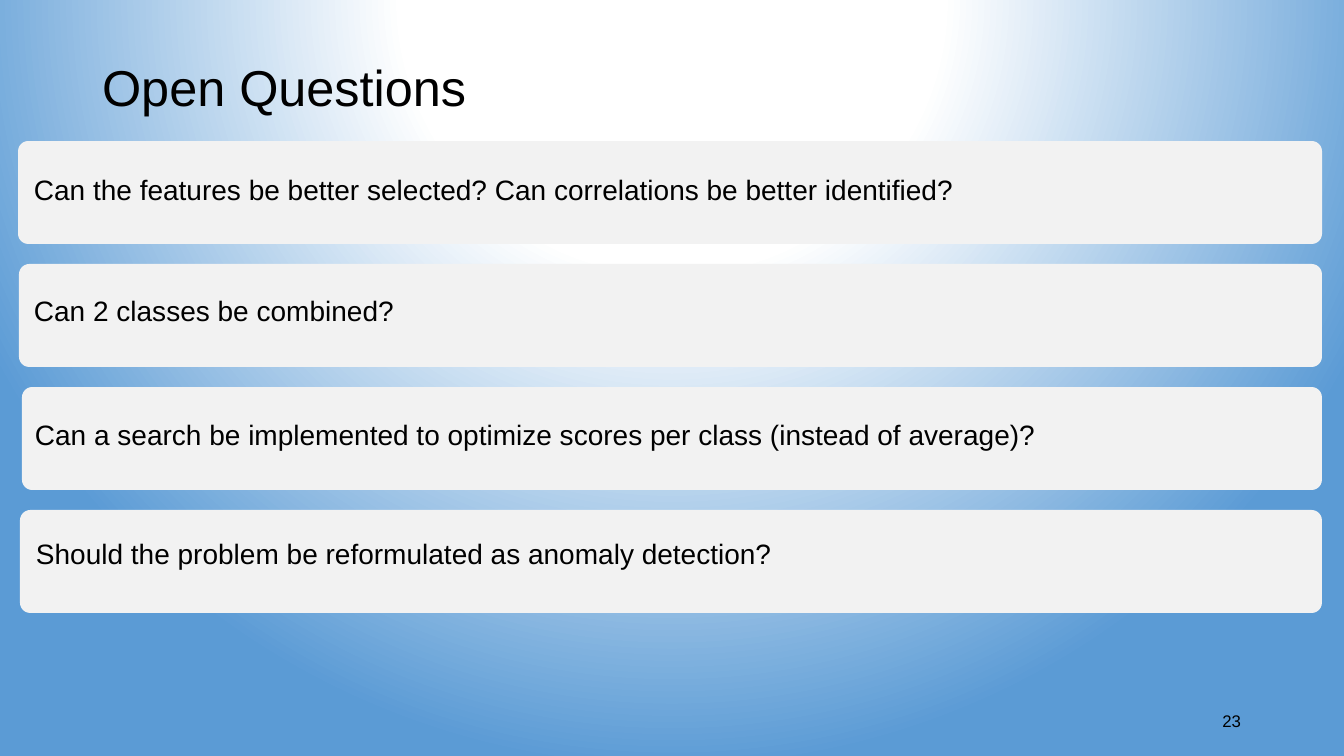
from dataclasses import dataclass

from pptx import Presentation
from pptx.dml.color import RGBColor
from pptx.enum.shapes import MSO_SHAPE
from pptx.enum.text import MSO_ANCHOR, MSO_AUTO_SIZE, PP_ALIGN
from pptx.oxml import parse_xml
from pptx.oxml.ns import nsdecls, qn
from pptx.util import Emu, Pt

SLIDE_WIDTH, SLIDE_HEIGHT = 1344, 756
EMU_PER_PX = 12192000 / SLIDE_WIDTH


@dataclass(frozen=True)
class Theme:
    font: str = "Arial"
    ink: str = "000000"
    card: str = "F2F2F2"
    background_stops: tuple = ((0, "FFFFFF"), (35, "FFFFFF"), (100, "5B9BD5"))
    title_size: int = 36
    question_size: int = 20
    number_size: int = 12


THEME = Theme()

# Stack of cards, all ending at the same right edge
CARD_TOP, CARD_PITCH, CARD_HEIGHT, CARD_RIGHT = 141, 123, 103, 1322
QUESTION_INDENT = 6

# Question, card left, then left, top, width and height of its text
QUESTIONS = [
    ("Can the features be better selected? Can correlations be better identified?",
     18, (18, 168, 1292, 80)),
    ("Can 2 classes be combined?",
     19, (18, 289, 1213, 74)),
    ("Can a search be implemented to optimize scores per class (instead of average)?",
     22, (19, 413, 1296, 74)),
    ("Should the problem be reformulated as anomaly detection?",
     20, (20, 532, 1054, 74)),
]


def px(length):
    return Emu(round(length * EMU_PER_PX))


def box(*lengths):
    return [px(length) for length in lengths]


def write(shape, text, size, alignment, anchor):
    """Put one formatted paragraph in a shape and return it."""
    frame = shape.text_frame
    frame.text = text
    frame.word_wrap = True
    frame.auto_size = MSO_AUTO_SIZE.NONE
    frame.vertical_anchor = anchor
    paragraph = frame.paragraphs[0]
    paragraph.alignment = alignment
    font = paragraph.runs[0].font
    font.name = THEME.font
    font.size = Pt(size)
    font.color.rgb = RGBColor.from_string(THEME.ink)
    return paragraph


def paint_background(slide):
    """Radial gradient centred above the slide."""
    slide.background.fill.solid()
    solid = slide.element.find(".//" + qn("p:bgPr")).find(qn("a:solidFill"))
    stops = "".join(
        f'<a:gs pos="{position * 1000}"><a:srgbClr val="{color}"/></a:gs>'
        for position, color in THEME.background_stops)
    gradient = parse_xml(
        f'<a:gradFill rotWithShape="1" {nsdecls("a")}><a:gsLst>{stops}</a:gsLst>'
        '<a:path path="circle"><a:fillToRect l="50000" t="-80000" r="50000" b="180000"/>'
        '</a:path></a:gradFill>')
    solid.getparent().replace(solid, gradient)


def add_title(slide, text):
    title = slide.shapes.title
    title.left, title.top, title.width, title.height = box(92, 40, 1159, 101)
    paragraph = write(title, text, THEME.title_size, PP_ALIGN.LEFT, MSO_ANCHOR.MIDDLE)
    paragraph.line_spacing = 0.9


def add_card(shapes, left, top):
    card = shapes.add_shape(MSO_SHAPE.ROUNDED_RECTANGLE,
                            *box(left, top, CARD_RIGHT - left, CARD_HEIGHT))
    card.adjustments[0] = 0.1
    card.shadow.inherit = False
    card.fill.solid()
    card.fill.fore_color.rgb = RGBColor.from_string(THEME.card)
    card.line.fill.background()


def add_question(shapes, text, text_box):
    question = shapes.add_textbox(*box(*text_box))
    paragraph = write(question, text, THEME.question_size, PP_ALIGN.JUSTIFY, MSO_ANCHOR.TOP)
    paragraph.space_after = Pt(6)
    properties = paragraph._p.get_or_add_pPr()
    properties.set("marL", str(px(QUESTION_INDENT)))
    properties.set("indent", "0")


def add_page_number(slide, number):
    page_number = slide.shapes.add_textbox(*box(949, 701, 302, 40))
    write(page_number, number, THEME.number_size, PP_ALIGN.RIGHT, MSO_ANCHOR.MIDDLE)


def main():
    presentation = Presentation()
    presentation.slide_width, presentation.slide_height = box(SLIDE_WIDTH, SLIDE_HEIGHT)
    slide = presentation.slides.add_slide(presentation.slide_layouts[5])

    paint_background(slide)
    add_title(slide, "Open Questions")

    # Cards with their questions, kept together
    group = slide.shapes.add_group_shape()
    for index, (text, card_left, text_box) in enumerate(QUESTIONS):
        add_card(group.shapes, card_left, CARD_TOP + index * CARD_PITCH)
        add_question(group.shapes, text, text_box)

    add_page_number(slide, "23")
    presentation.save("out.pptx")


if __name__ == "__main__":
    main()
